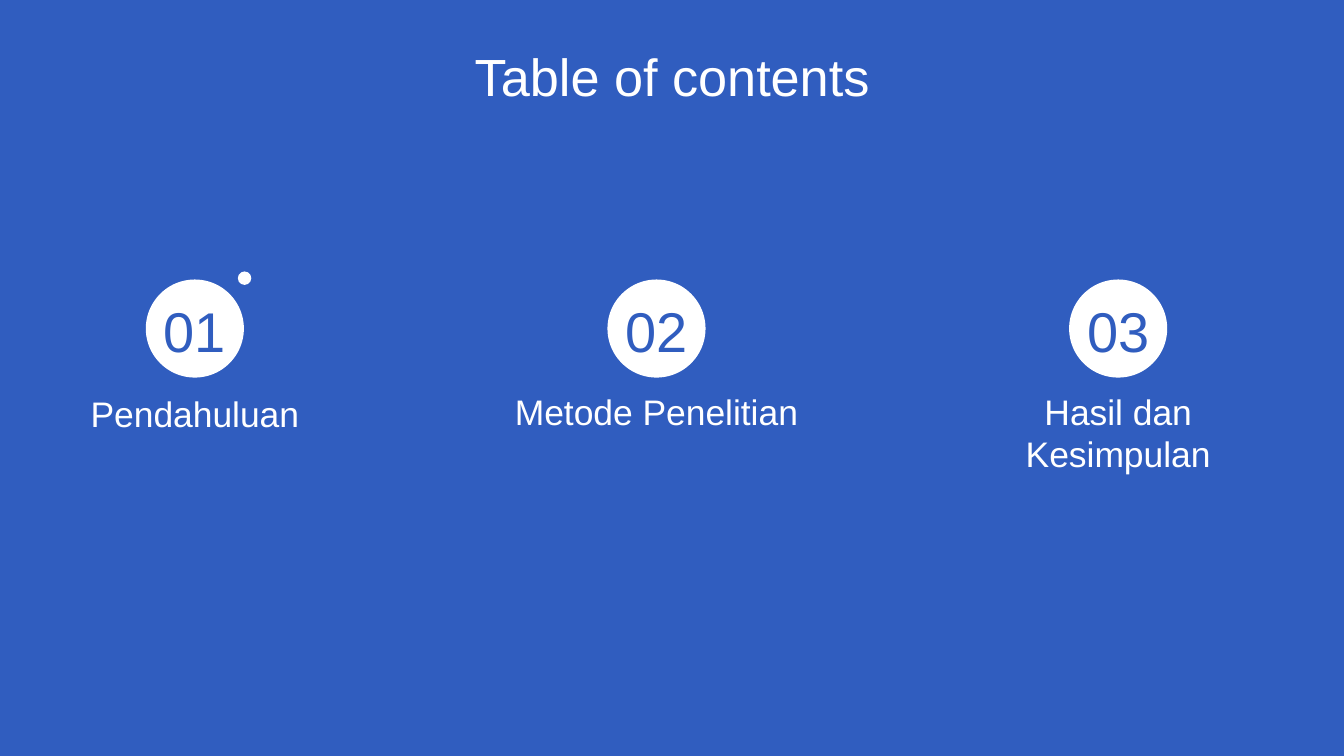
from pptx import Presentation
from pptx.dml.color import RGBColor
from pptx.enum.shapes import MSO_SHAPE
from pptx.enum.text import MSO_ANCHOR, PP_ALIGN
from pptx.util import Inches, Pt

OVAL = MSO_SHAPE.OVAL
CENTER = PP_ALIGN.CENTER
TOP, BOTTOM = MSO_ANCHOR.TOP, MSO_ANCHOR.BOTTOM

COLORS = {"blue": "305DBF", "white": "FFFFFF"}
FONT = "Arial"

# Section heading and the top of its text box
SECTIONS = [
    ("Pendahuluan", 2.82),
    ("Metode Penelitian", 2.8),
    ("Hasil dan Kesimpulan", 2.8),
]
SLIDE_WIDTH = Inches(10)
SLIDE_HEIGHT = SLIDE_WIDTH * 9 // 16
FIRST_CENTER, LAST_CENTER = 1.45, 8.32
SECTION_STEP = (LAST_CENTER - FIRST_CENTER) / (len(SECTIONS) - 1)
BADGE_TOP, BADGE_SIZE = 2.08, 0.73
HEADING_WIDTH, HEADING_HEIGHT = 2.65, 0.46


def rgb(name):
    return RGBColor.from_string(COLORS[name])


def add_circle(slide, left, top, size):
    circle = slide.shapes.add_shape(
        OVAL, Inches(left), Inches(top), Inches(size), Inches(size))
    circle.shadow.inherit = False
    circle.fill.solid()
    circle.fill.fore_color.rgb = rgb("white")
    circle.line.fill.background()


def add_text(slide, text, left, top, width, height, *, size,
             color="white", anchor=TOP):
    box = slide.shapes.add_textbox(
        Inches(left), Inches(top), Inches(width), Inches(height))
    frame = box.text_frame
    frame.word_wrap = True
    frame.vertical_anchor = anchor
    frame.margin_left = frame.margin_right = Inches(0.1)
    frame.margin_top = frame.margin_bottom = Inches(0.1)
    paragraph = frame.paragraphs[0]
    paragraph.alignment = CENTER
    paragraph.line_spacing = 1.0
    run = paragraph.add_run()
    run.text = text
    run.font.name = FONT
    run.font.size = Pt(size)
    run.font.color.rgb = rgb(color)


def add_section(slide, number, heading, center, heading_top):
    """Add a numbered badge with its heading centred below."""
    badge_left = center - BADGE_SIZE / 2
    add_circle(slide, badge_left, BADGE_TOP, BADGE_SIZE)
    add_text(slide, heading, center - HEADING_WIDTH / 2, heading_top,
             HEADING_WIDTH, HEADING_HEIGHT, size=19)
    add_text(slide, f"{number:02d}", badge_left, BADGE_TOP, BADGE_SIZE,
             BADGE_SIZE, size=30, color="blue", anchor=BOTTOM)


def main():
    deck = Presentation()
    deck.slide_width, deck.slide_height = SLIDE_WIDTH, SLIDE_HEIGHT
    slide = deck.slides.add_slide(deck.slide_layouts[6])
    slide.background.fill.solid()
    slide.background.fill.fore_color.rgb = rgb("blue")

    add_text(slide, "Table of contents", 0.34, 0.23, 9.32, 0.63, size=28)
    for index, (heading, heading_top) in enumerate(SECTIONS):
        center = FIRST_CENTER + index * SECTION_STEP
        add_section(slide, index + 1, heading, center, heading_top)
    add_circle(slide, 1.77, 2.02, 0.1)

    deck.save("out.pptx")


if __name__ == "__main__":
    main()
